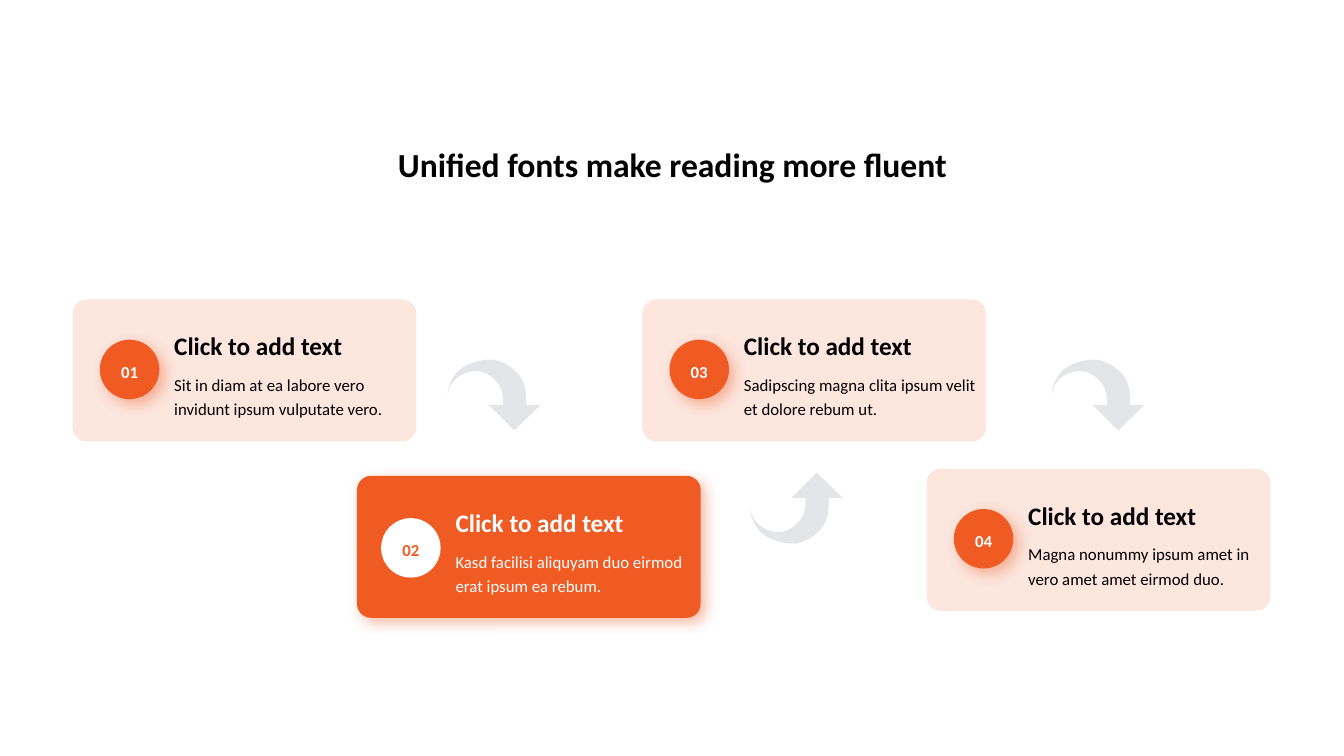
from dataclasses import dataclass

from lxml import etree
from pptx import Presentation
from pptx.dml.color import RGBColor
from pptx.enum.shapes import MSO_SHAPE
from pptx.enum.text import MSO_ANCHOR, MSO_AUTO_SIZE, PP_ALIGN
from pptx.oxml.ns import qn
from pptx.shapes.autoshape import Shape
from pptx.shapes.shapetree import SlideShapes
from pptx.text.text import TextFrame
from pptx.util import Inches, Pt

ROUNDED = MSO_SHAPE.ROUNDED_RECTANGLE
TOP, MIDDLE, BOTTOM = MSO_ANCHOR.TOP, MSO_ANCHOR.MIDDLE, MSO_ANCHOR.BOTTOM
LEFT, CENTER = PP_ALIGN.LEFT, PP_ALIGN.CENTER
NO_AUTOFIT = MSO_AUTO_SIZE.NONE

COLORS = {"accent": "F05A23", "arrow": "44546A", "dark": "000000", "light": "FFFFFF"}
FONT = "Calibri"
TINT = 15
CARD_WIDTH, CARD_HEIGHT = 3.41, 1.41
BADGE_SIZE = 0.59
TEXT_WIDTH = 2.5
ARROW_HEIGHT = 0.7

Point = tuple[float, float]
ARROW_START: Point = (0.78, 0.45)
ARROW_CURVES: list[tuple[Point, Point, Point]] = [
    ((0.78, 0.36), (0.78, 0.27), (0.73, 0.18)),
    ((0.67, 0.09), (0.57, 0.02), (0.46, 0)),
    ((0.35, -0.01), (0.24, 0.02), (0.14, 0.08)),
    ((0.06, 0.14), (0, 0.25), (0, 0.35)),
    ((0.01, 0.27), (0.05, 0.2), (0.12, 0.16)),
    ((0.18, 0.12), (0.26, 0.1), (0.34, 0.12)),
    ((0.41, 0.14), (0.47, 0.19), (0.51, 0.25)),
    ((0.55, 0.32), (0.55, 0.38), (0.55, 0.45)),
]
ARROW_HEAD: list[Point] = [(0.41, 0.45), (0.66, 0.7), (0.92, 0.45)]


@dataclass(frozen=True)
class Card:
    """One numbered step with its heading and description."""

    number: str
    left: float
    top: float
    description: str
    heading: str = "Click to add text"
    highlighted: bool = False


@dataclass(frozen=True)
class Arrow:
    """A curved arrow leading from one step to the next."""

    left: float
    top: float
    upward: bool = False

    def place(self, point: Point) -> tuple[int, int]:
        """Convert an outline point to lengths, mirrored when pointing up."""
        x, y = point
        return Inches(x), Inches(ARROW_HEIGHT - y if self.upward else y)


CARDS = [
    Card("01", 0.72, 2.97, "Sit in diam at ea labore vero invidunt ipsum vulputate vero."),
    Card("02", 3.54, 4.72, "Kasd facilisi aliquyam duo eirmod erat ipsum ea rebum.", highlighted=True),
    Card("03", 6.37, 2.97, "Sadipscing magna clita ipsum velit et dolore rebum ut."),
    Card("04", 9.19, 4.65, "Magna nonummy ipsum amet in vero amet amet eirmod duo."),
]
ARROWS = [Arrow(7.44, 4.69, upward=True), Arrow(4.44, 3.57), Arrow(10.43, 3.57)]


def paint(shape: Shape, color: str, opacity: int = 100, shadow: bool = False) -> None:
    """Give a shape a plain fill, no outline and an optional glowing shadow."""
    shape.fill.solid()
    shape.fill.fore_color.rgb = RGBColor.from_string(COLORS[color])
    shape.line.fill.background()
    shape.shadow.inherit = False
    properties = shape._element.spPr
    if opacity < 100:
        fill_color = properties.find(qn("a:solidFill"))[0]
        etree.SubElement(fill_color, qn("a:alpha"), val=str(opacity * 1000))
    if shadow:
        outer = etree.SubElement(
            properties.find(qn("a:effectLst")), qn("a:outerShdw"),
            blurRad=str(Pt(10)), dist=str(Pt(5)), dir=str(45 * 60000), algn="tl", rotWithShape="0",
        )
        shadow_color = etree.SubElement(outer, qn("a:srgbClr"), val=COLORS["accent"])
        etree.SubElement(shadow_color, qn("a:alpha"), val="40000")


def write(frame: TextFrame, text: str, size: int, color: str, bold: bool = False,
          align: PP_ALIGN = LEFT, anchor: MSO_ANCHOR = TOP, spacing: float = 1.0) -> None:
    """Fill a text frame with one formatted paragraph."""
    frame.word_wrap = True
    frame.auto_size = NO_AUTOFIT
    frame.vertical_anchor = anchor
    paragraph = frame.paragraphs[0]
    paragraph.text = text
    paragraph.alignment = align
    paragraph.line_spacing = spacing
    paragraph.font.name = FONT
    paragraph.font.size = Pt(size)
    paragraph.font.bold = bold
    paragraph.font.color.rgb = RGBColor.from_string(COLORS[color])


def add_rounded(shapes: SlideShapes, left: float, top: float, width: float,
                height: float, rounding: float) -> Shape:
    """Add a rounded rectangle with the given corner ratio."""
    shape = shapes.add_shape(ROUNDED, Inches(left), Inches(top), Inches(width), Inches(height))
    shape.adjustments[0] = rounding
    return shape


def add_text_frame(shapes: SlideShapes, left: float, top: float, height: float) -> TextFrame:
    """Add a text box of the common width and return its frame."""
    return shapes.add_textbox(Inches(left), Inches(top), Inches(TEXT_WIDTH), Inches(height)).text_frame


def draw_arrow(shapes: SlideShapes, arrow: Arrow) -> None:
    """Draw an arrow whose leading segments are bent into Bézier curves."""
    corners = [curve[-1] for curve in ARROW_CURVES] + ARROW_HEAD
    builder = shapes.build_freeform(*arrow.place(ARROW_START))
    builder.add_line_segments([arrow.place(corner) for corner in corners], close=True)
    shape = builder.convert_to_shape(Inches(arrow.left), Inches(arrow.top))
    segments = list(shape._element.iter(qn("a:lnTo")))
    for segment, curve in zip(segments, ARROW_CURVES):
        segment.tag = qn("a:cubicBezTo")
        for position, control in enumerate(curve[:2]):
            x, y = arrow.place(control)
            segment.insert(position, etree.Element(qn("a:pt"), x=str(x), y=str(y)))
    paint(shape, "arrow", TINT)


def draw_card(shapes: SlideShapes, card: Card) -> None:
    """Draw a step card with its heading, description and number badge."""
    lit = card.highlighted
    text_color = "light" if lit else "dark"
    badge_left = card.left + (0.24 if lit else 0.27)
    badge_top = card.top + (0.42 if lit else 0.4)
    text_left = badge_left + 0.64

    panel = add_rounded(shapes, card.left, card.top, CARD_WIDTH, CARD_HEIGHT, 0.1)
    paint(panel, "accent", 100 if lit else TINT, shadow=lit)

    heading = add_text_frame(shapes, text_left, card.top + 0.26, 0.4)
    write(heading, card.heading, 18, text_color, bold=True, anchor=BOTTOM)
    description = add_text_frame(shapes, text_left, card.top + 0.66, 0.76)
    write(description, card.description, 12, text_color, spacing=1.2)

    badge = add_rounded(shapes, badge_left, badge_top, BADGE_SIZE, BADGE_SIZE, 0.5)
    paint(badge, "light" if lit else "accent", shadow=not lit)
    write(badge.text_frame, card.number, 12, "accent" if lit else "light", bold=True,
          align=CENTER, anchor=MIDDLE, spacing=1.2)


def main() -> None:
    """Build the four-step slide and save it."""
    presentation = Presentation()
    presentation.slide_width, presentation.slide_height = Inches(13.33), Inches(7.5)
    shapes = presentation.slides.add_slide(presentation.slide_layouts[5]).shapes

    title = shapes.title
    title.left, title.top = Inches(2.14), Inches(1.24)
    title.width, title.height = Inches(9.06), Inches(0.64)
    write(title.text_frame, "Unified fonts make reading more fluent", 24, "dark", bold=True,
          align=CENTER, anchor=BOTTOM)

    for arrow in ARROWS:
        draw_arrow(shapes, arrow)
    for card in CARDS:
        draw_card(shapes, card)

    presentation.save("out.pptx")


if __name__ == "__main__":
    main()
